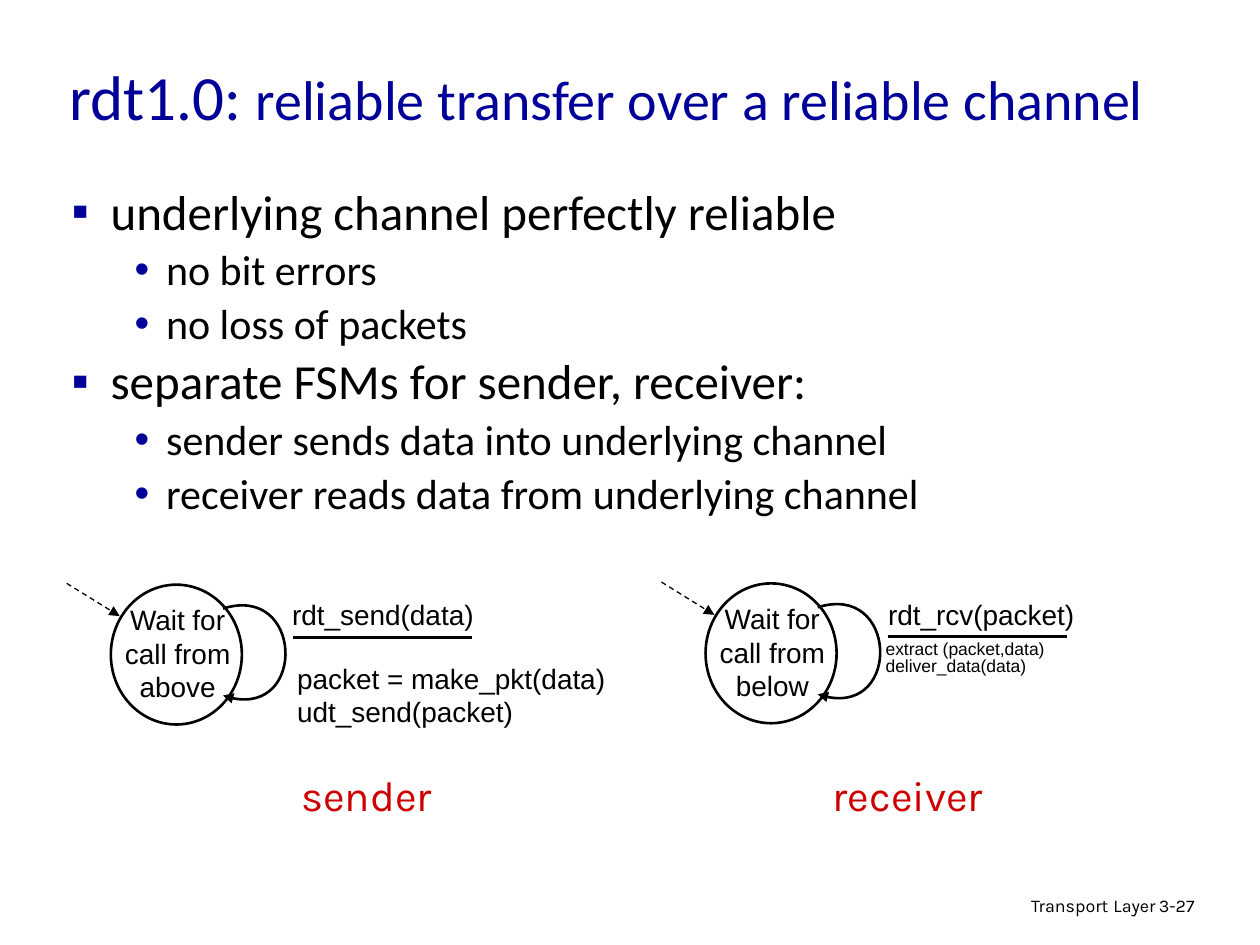
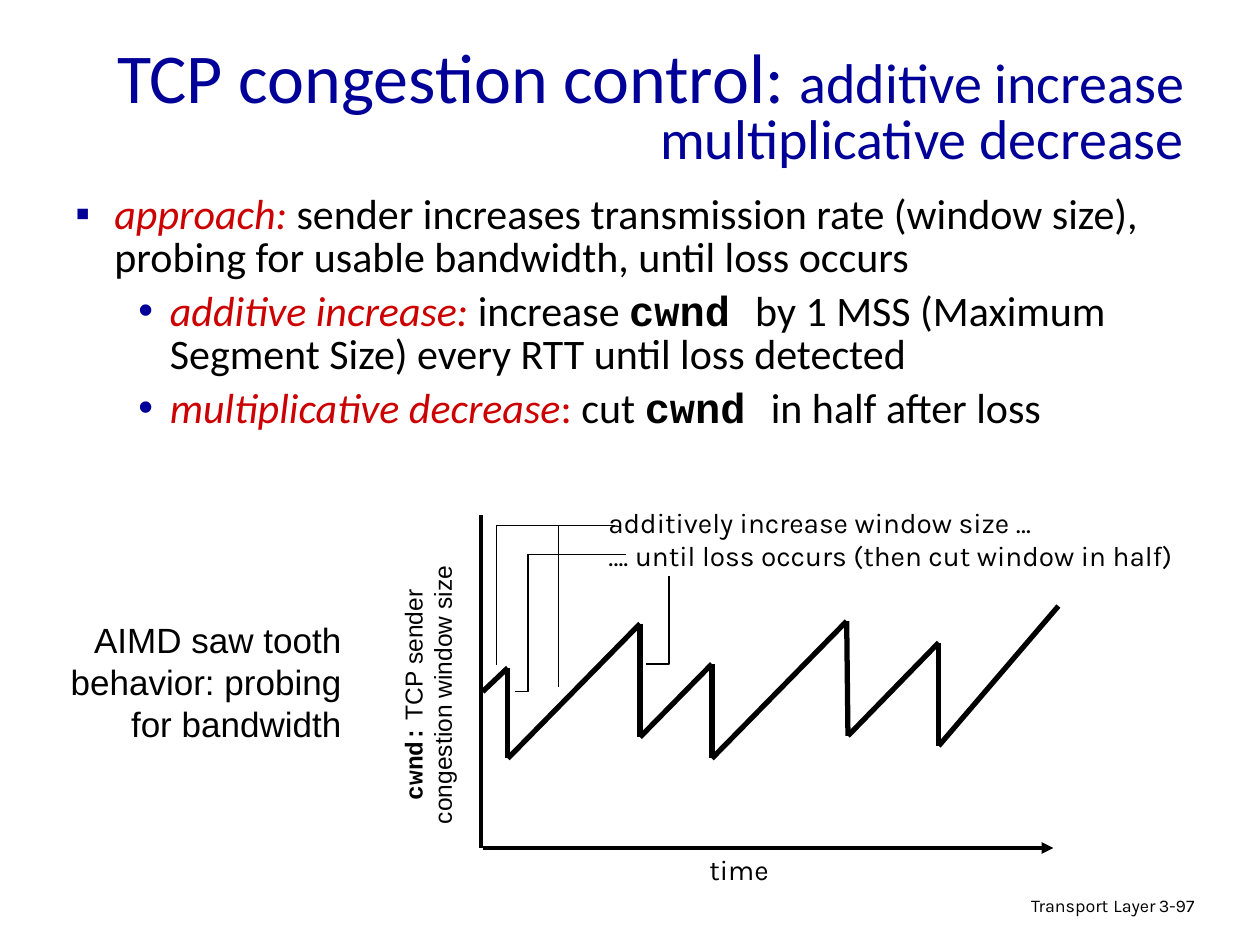
from dataclasses import dataclass
from itertools import pairwise

from lxml.etree import SubElement
from pptx import Presentation
from pptx.dml.color import RGBColor
from pptx.enum.dml import MSO_LINE_DASH_STYLE as Dash
from pptx.enum.shapes import MSO_CONNECTOR as Connector, MSO_SHAPE as Preset
from pptx.enum.text import MSO_ANCHOR as Anchor, MSO_AUTO_SIZE as AutoSize, PP_ALIGN as Align
from pptx.oxml.ns import qn
from pptx.util import Emu, Inches, Pt

COLORS = {"title": "000099", "accent": "CC0000", "ink": "000000", "paper": "FFFFFF"}
BODY, LABEL, CODE, NOTE = "Calibri", "Arial", "Courier New", "Karla"
TITLE_ONLY = 5

# The grid: 100 columns by 75 rows of square cells
WIDTH, HEIGHT = Inches(10), Inches(7.5)
CELL = WIDTH / 100
Point = tuple[float, float]


@dataclass(frozen=True)
class Box:
    column: float
    row: float
    columns: float
    rows: float

    def emu(self) -> list[Emu]:
        return [cells(n) for n in (self.column, self.row, self.columns, self.rows)]


@dataclass(frozen=True)
class Span:
    text: str
    size: float
    font: str = BODY
    color: str = "ink"
    bold: bool = False
    italic: bool = False


@dataclass(frozen=True)
class Line:
    spans: list[Span]
    level: int | None = None
    align: Align = Align.LEFT
    spacing: float = 1.0


@dataclass(frozen=True)
class Machine:
    origin: Point
    state: str
    event: str
    event_box: Box
    actions: list[str]
    action_box: Box
    action_size: float
    action_spacing: float
    role: str
    role_box: Box


def cells(count: float) -> Emu:
    return Emu(round(count * CELL))


def rgb(name: str) -> RGBColor:
    return RGBColor.from_string(COLORS[name])


# Text
def add_bullet(paragraph, level: int) -> None:
    mark, margin, indent = [("▪", 0.31, -0.31), ("•", 0.75, -0.25)][level]
    properties = paragraph._p.get_or_add_pPr()
    properties.set("marL", str(Inches(margin)))
    properties.set("indent", str(Inches(indent)))
    color = SubElement(properties, qn("a:buClr"))
    SubElement(color, qn("a:srgbClr"), val=COLORS["title"])
    SubElement(properties, qn("a:buFont"), typeface=LABEL)
    SubElement(properties, qn("a:buChar"), char=mark)


def fill_text(text_frame, lines: list[Line]) -> None:
    for index, line in enumerate(lines):
        paragraph = text_frame.add_paragraph() if index else text_frame.paragraphs[0]
        paragraph.alignment = line.align
        paragraph.line_spacing = line.spacing
        paragraph.space_before = Pt(0)
        if line.level is not None:
            paragraph.level = line.level
            paragraph.space_before = Pt(6.5 if index else 0)
            add_bullet(paragraph, line.level)
        for span in line.spans:
            run = paragraph.add_run()
            run.text = span.text
            run.font.size, run.font.name = Pt(span.size), span.font
            run.font.bold, run.font.italic = span.bold, span.italic
            run.font.color.rgb = rgb(span.color)


def add_text(slide, box: Box, lines: list[Line], wrap: bool = True):
    shape = slide.shapes.add_textbox(*box.emu())
    fill_text(shape.text_frame, lines)
    shape.text_frame.word_wrap = wrap
    shape.text_frame.auto_size = AutoSize.NONE if wrap else AutoSize.SHAPE_TO_FIT_TEXT
    return shape


def plain(texts: list[str], size: float, font: str = LABEL, color: str = "ink",
          align: Align = Align.LEFT, spacing: float = 1.0) -> list[Line]:
    return [Line([Span(text, size, font, color)], None, align, spacing) for text in texts]


def add_page(presentation, number: str, title_box: Box, title: Line):
    slide = presentation.slides.add_slide(presentation.slide_layouts[TITLE_ONLY])
    # Footer
    footer = [Span("Transport", 10.2, NOTE), Span(" ", 11.9, NOTE), Span("Layer", 10.2, NOTE)]
    add_text(slide, Box(61, 70.5, 31.7, 3.1), [Line(footer, None, Align.RIGHT, 0.9)])
    add_text(slide, Box(91, 70.7, 7.4, 3), plain([number], 10.2, NOTE, spacing=0.9))
    # Title
    heading = slide.shapes.title
    heading.left, heading.top, heading.width, heading.height = title_box.emu()
    heading.text_frame.vertical_anchor = Anchor.MIDDLE
    heading.text_frame.auto_size = AutoSize.NONE
    fill_text(heading.text_frame, [title])
    return slide


# Lines and outlines
def style_line(shape, weight: float, arrow: bool = False, dashed: bool = False) -> None:
    shape.line.color.rgb = rgb("ink")
    shape.line.width = Pt(weight)
    if dashed:
        shape.line.dash_style = Dash.DASH
    if arrow:
        SubElement(shape.element.spPr.find(qn("a:ln")), qn("a:tailEnd"), type="triangle")


def add_line(slide, start: Point, end: Point, weight: float,
             arrow: bool = False, dashed: bool = False) -> None:
    ends = [cells(n) for n in (*start, *end)]
    connector = slide.shapes.add_connector(Connector.STRAIGHT, *ends)
    style_line(connector, weight, arrow, dashed)
    SubElement(connector.element.spPr, qn("a:effectLst"))


def add_outline(slide, points: list[Point], weight: float, arrow: bool = False):
    start, *rest = [(cells(x), cells(y)) for x, y in points]
    builder = slide.shapes.build_freeform(*start)
    builder.add_line_segments(rest, close=False)
    shape = builder.convert_to_shape()
    shape.fill.background()
    shape.shadow.inherit = False
    style_line(shape, weight, arrow)
    return shape


def add_curve(slide, points: list[Point], weight: float) -> None:
    """Draw one cubic curve: start, two control points, end."""
    shape = add_outline(slide, points, weight, arrow=True)
    outline = next(shape.element.iter(qn("a:path")))
    segments = outline.findall(qn("a:lnTo"))
    cubic = SubElement(outline, qn("a:cubicBezTo"))
    for segment in segments:
        cubic.append(segment[0])
        outline.remove(segment)


# State machine: circle, self-loop, entry arrow, event over actions
def add_machine(slide, machine: Machine) -> None:
    left, top = machine.origin

    def at(x: float, y: float) -> Point:
        return left + x, top + y

    circle = slide.shapes.add_shape(Preset.OVAL, *Box(left, top, 10.4, 11.1).emu())
    circle.shadow.inherit = False
    circle.fill.solid()
    circle.fill.fore_color.rgb = rgb("paper")
    style_line(circle, 1.5)
    add_text(slide, Box(*at(-0.7, 0.95), 12, 10), plain([machine.state], 16, align=Align.CENTER))
    add_curve(slide, [at(8.9, 1.9), at(15.2, -0.1), at(15.6, 11.1), at(8.9, 8.8)], 1.5)
    add_line(slide, at(-3.5, -0.1), at(0.7, 2.5), 0.75, arrow=True, dashed=True)
    add_line(slide, at(14.45, 4.2), at(28.65, 4.2), 1.5)
    add_text(slide, machine.event_box, plain([machine.event], 16))
    add_text(slide, machine.action_box,
             plain(machine.actions, machine.action_size, spacing=machine.action_spacing))
    add_text(slide, machine.role_box,
             plain([machine.role], 24, NOTE, "accent", Align.CENTER), wrap=False)


MACHINES = [
    Machine((8.8, 46.4), "Wait for call from above",
            "rdt_send(data)", Box(22.2, 46.9, 24.7, 4.7),
            ["packet = make_pkt(data)", "udt_send(packet)"], Box(22.6, 52, 29.3, 6.5), 16, 1.0,
            "sender", Box(22.7, 60.6, 12.8, 5)),
    Machine((56, 46.3), "Wait for call from below",
            "rdt_rcv(packet)", Box(69.5, 46.9, 18, 3.7),
            ["extract (packet,data)", "deliver_data(data)"], Box(69.3, 50.5, 27.2, 4.7), 10, 0.8,
            "receiver", Box(64.8, 60.6, 14.5, 5)),
]

SAWTOOTH = [(38.3, 54.9), (40.3, 53), (40.3, 60.2), (50.8, 49.5), (50.8, 58.5), (56.5, 52.7),
            (56.5, 60.2), (67.2, 49.3), (67.3, 58.4), (74.5, 51), (74.5, 59.2), (84, 48.1)]

CALLOUTS = [
    [(48.8, 41.7), (39.4, 41.7), (39.4, 52.8)],
    [(49.7, 44), (41.9, 44), (41.9, 54.9), (40.9, 54.9)],
    [(48.8, 41.7), (44.3, 41.7), (44.3, 54.5)],
    [(53.1, 45.7), (53.1, 52.7), (51.3, 52.7)],
]


def build_reliable_channel(presentation) -> None:
    title = Line([Span("rdt1.0: ", 36, color="title"),
                  Span("reliable transfer over a reliable channel", 32, color="title")])
    slide = add_page(presentation, "3-27", Box(4.5, 2.1, 87.5, 11), title)
    outline = [
        (0, "underlying channel perfectly reliable"),
        (1, "no bit errors"),
        (1, "no loss of packets"),
        (0, "separate FSMs for sender, receiver:"),
        (1, "sender sends data into underlying channel"),
        (1, "receiver reads data from underlying channel"),
    ]
    add_text(slide, Box(4.7, 14.6, 86.4, 33),
             [Line([Span(text, 28 - 4 * level)], level, spacing=0.85) for level, text in outline])
    for machine in MACHINES:
        add_machine(slide, machine)


def build_congestion_control(presentation) -> None:
    title = Line([Span("TCP congestion control: ", 40, color="title"),
                  Span("additive increase multiplicative decrease", 32, color="title")],
                 None, Align.RIGHT, 0.8)
    slide = add_page(presentation, "3-97", Box(2.5, 2.5, 92.5, 12.5), title)

    # Approach
    def term(text: str, italic: bool = True) -> Span:
        return Span(text, 24, color="accent", italic=italic)

    window = Span("cwnd ", 24, CODE, bold=True)
    approach = [
        (0, [term("approach: "),
             Span("sender increases transmission rate (window size), "
                  "probing for usable bandwidth, until loss occurs", 24)]),
        (1, [term("additive increase:"), Span(" increase ", 24), window,
             Span("by 1 MSS (Maximum Segment Size) every RTT until loss detected", 24)]),
        (1, [term("multiplicative decrease"), term(":", italic=False), Span(" cut ", 24), window,
             Span("in half after loss", 24)]),
    ]
    add_text(slide, Box(5, 15, 93.4, 25.8),
             [Line(spans, level, spacing=0.85) for level, spans in approach])

    # Labels beside the plot
    axis_title = [Line([Span("cwnd:", 14, CODE, bold=True), Span(" TCP sender", 14, LABEL)],
                       None, Align.CENTER),
                  *plain(["congestion window size"], 14, align=Align.CENTER)]
    axis_label = add_text(slide, Box(22.7, 52.3, 22.5, 5.7), axis_title, wrap=False)
    axis_label.rotation = 270
    axis_label.fill.solid()
    axis_label.fill.fore_color.rgb = rgb("paper")
    add_text(slide, Box(4.6, 48.6, 23.5, 11),
             plain(["AIMD saw tooth", "behavior: probing", "for bandwidth"], 20,
                   align=Align.RIGHT), wrap=False)

    # Axes and saw tooth
    add_line(slide, (38.3, 67.3), (83.6, 67.3), 2.25, arrow=True)
    add_line(slide, (38.2, 40.9), (38.2, 67.3), 2.25)
    for start, end in pairwise(SAWTOOTH):
        add_line(slide, start, end, 3)

    # Callouts
    add_text(slide, Box(47.3, 39.6, 47.8, 6.4),
             plain(["additively increase window size …",
                    "…. until loss occurs (then cut window in half)"], 16, NOTE), wrap=False)
    for points in CALLOUTS:
        add_outline(slide, points, 0.75)
    add_text(slide, Box(55.3, 67.2, 6.7, 3.7),
             plain(["time"], 16, NOTE, align=Align.CENTER), wrap=False)


def main() -> None:
    presentation = Presentation()
    presentation.slide_width, presentation.slide_height = WIDTH, HEIGHT
    build_reliable_channel(presentation)
    build_congestion_control(presentation)
    presentation.save("out.pptx")


if __name__ == "__main__":
    main()
